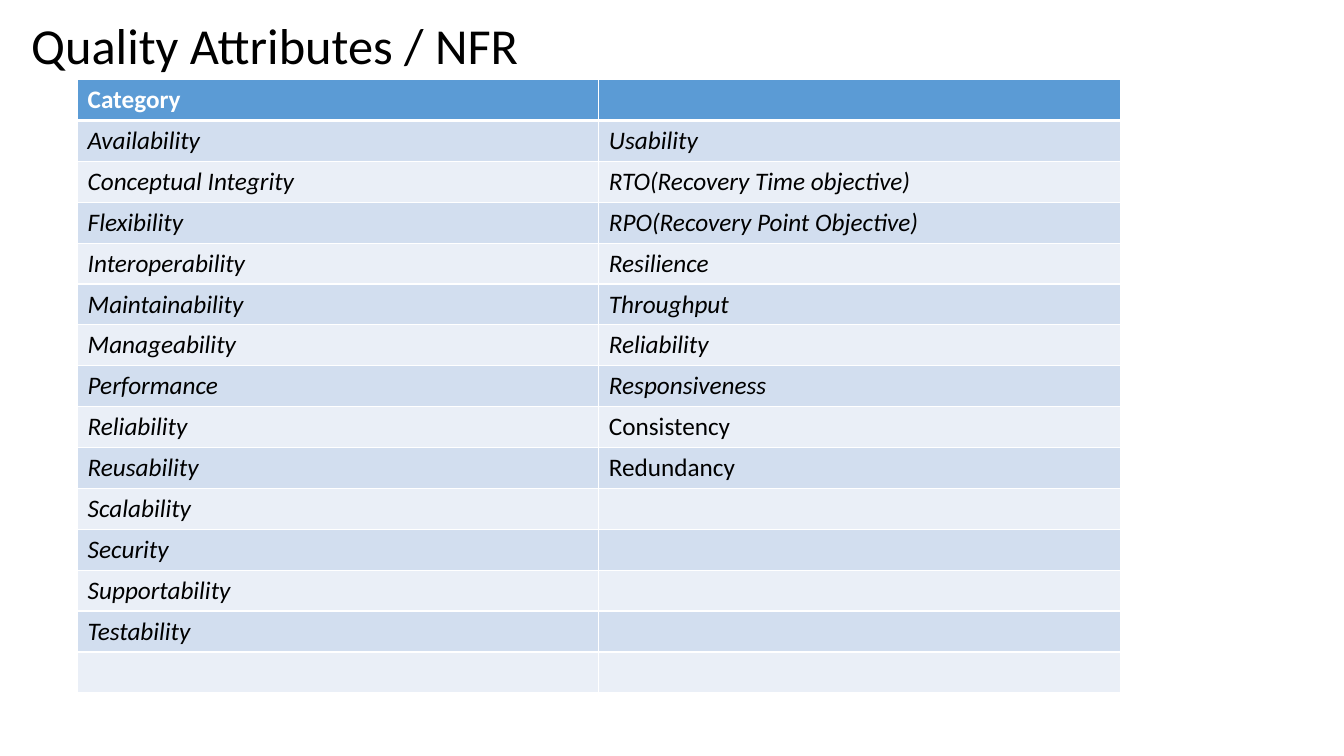
from itertools import zip_longest

from lxml.etree import SubElement
from pptx import Presentation
from pptx.dml.color import RGBColor
from pptx.enum.text import MSO_ANCHOR, PP_ALIGN
from pptx.oxml import parse_xml
from pptx.oxml.ns import nsdecls, qn
from pptx.util import Inches, Pt

FONT = "Calibri"
BLACK = RGBColor(0x00, 0x00, 0x00)
WHITE = RGBColor(0xFF, 0xFF, 0xFF)
HEADER_BLUE = RGBColor(0x5B, 0x9B, 0xD5)
BANDS = (RGBColor(0xEA, 0xEF, 0xF7), RGBColor(0xD2, 0xDE, 0xEF))

ROW_HEIGHT = Inches(6.08 / 15)
COLUMN_WIDTH = Inches(5.17)
THIN, THICK = Pt(1), Pt(3)

LEFT_COLUMN = [
    "Category", "Availability", "Conceptual Integrity", "Flexibility",
    "Interoperability", "Maintainability", "Manageability", "Performance",
    "Reliability", "Reusability", "Scalability", "Security",
    "Supportability", "Testability", "",
]
RIGHT_COLUMN = [
    "", "Usability", "RTO(Recovery Time objective)",
    "RPO(Recovery Point Objective)", "Resilience", "Throughput",
    "Reliability", "Responsiveness", "Consistency", "Redundancy",
]
UPRIGHT = {"Consistency", "Redundancy"}


def set_font(paragraph, size, color, bold=False, italic=False):
    font = paragraph.font
    font.name, font.size = FONT, Pt(size)
    font.bold, font.italic = bold, italic
    font.color.rgb = color


def add_title(slide, text):
    title = slide.shapes.title
    title.left, title.top = Inches(0.21), Inches(0.15)
    title.width, title.height = Inches(9.27), Inches(0.65)
    frame = title.text_frame
    frame.text = text
    frame.word_wrap = True
    frame.vertical_anchor = MSO_ANCHOR.MIDDLE
    paragraph = frame.paragraphs[0]
    paragraph.alignment = PP_ALIGN.LEFT
    paragraph.line_spacing = 0.9
    set_font(paragraph, 36, BLACK)


def set_borders(cell, top, bottom):
    """White lines on all four sides; they must precede the fill."""
    properties = cell._tc.get_or_add_tcPr()
    widths = {"lnL": THIN, "lnR": THIN, "lnT": top, "lnB": bottom}
    for position, (side, width) in enumerate(widths.items()):
        line = parse_xml(f'<a:{side} {nsdecls("a")} w="{int(width)}"/>')
        fill = SubElement(line, qn("a:solidFill"))
        SubElement(fill, qn("a:srgbClr")).set("val", str(WHITE))
        properties.insert(position, line)


def format_cell(cell, text, row):
    is_header = row == 0
    cell.text = text
    cell.fill.solid()
    cell.fill.fore_color.rgb = HEADER_BLUE if is_header else BANDS[row % 2]
    set_font(cell.text_frame.paragraphs[0], 18,
             WHITE if is_header else BLACK, bold=is_header,
             italic=not is_header and text not in UPRIGHT)
    # A thick rule separates the header from the first row
    set_borders(cell, top=THICK if row == 1 else THIN,
                bottom=THICK if is_header else THIN)


def add_attribute_table(slide, rows):
    table = slide.shapes.add_table(
        len(rows), 2, Inches(0.77), Inches(0.79),
        2 * COLUMN_WIDTH, len(rows) * ROW_HEIGHT).table
    for column in table.columns:
        column.width = COLUMN_WIDTH
    for row, texts in enumerate(rows):
        table.rows[row].height = ROW_HEIGHT
        for column, text in enumerate(texts):
            format_cell(table.cell(row, column), text, row)


def main():
    presentation = Presentation()
    presentation.slide_width = Inches(13.33)
    presentation.slide_height = Inches(7.5)
    # "Title Only" layout
    slide = presentation.slides.add_slide(presentation.slide_layouts[5])

    add_title(slide, "Quality Attributes / NFR")
    add_attribute_table(
        slide, list(zip_longest(LEFT_COLUMN, RIGHT_COLUMN, fillvalue="")))

    presentation.save("out.pptx")


if __name__ == "__main__":
    main()
